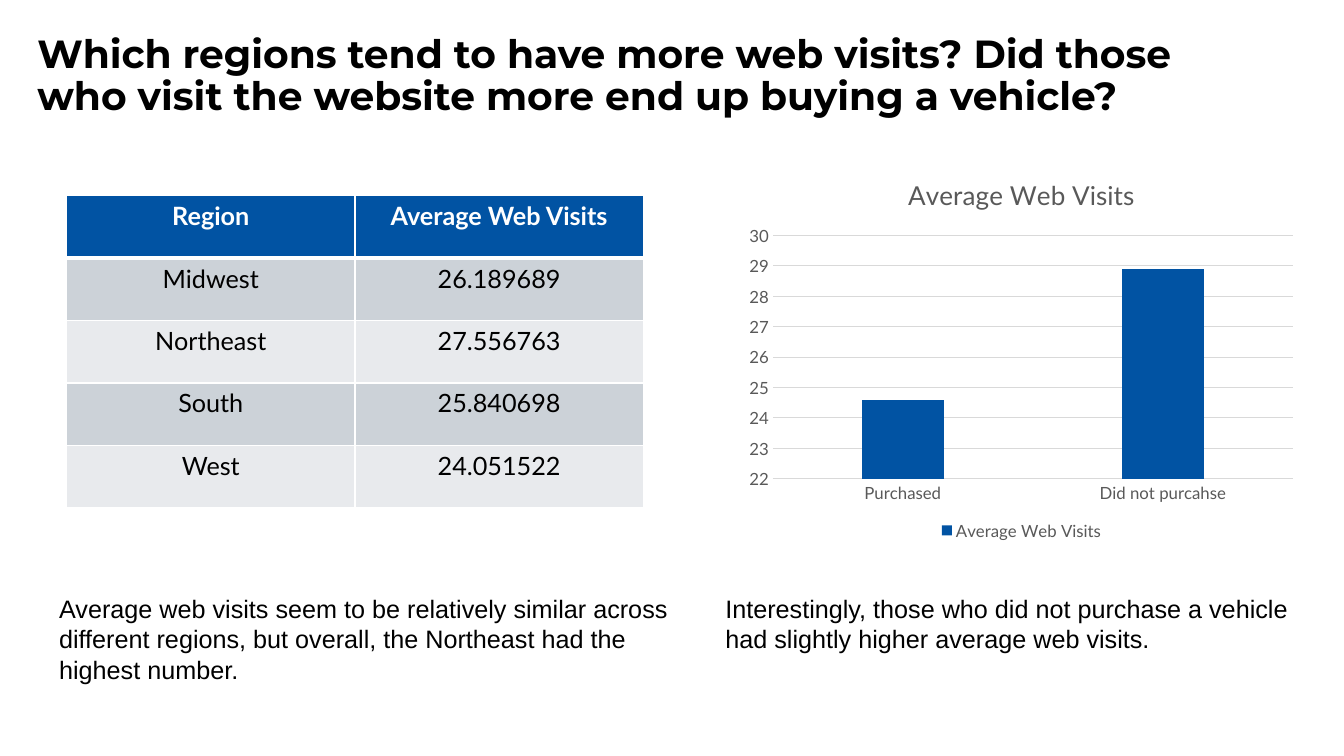
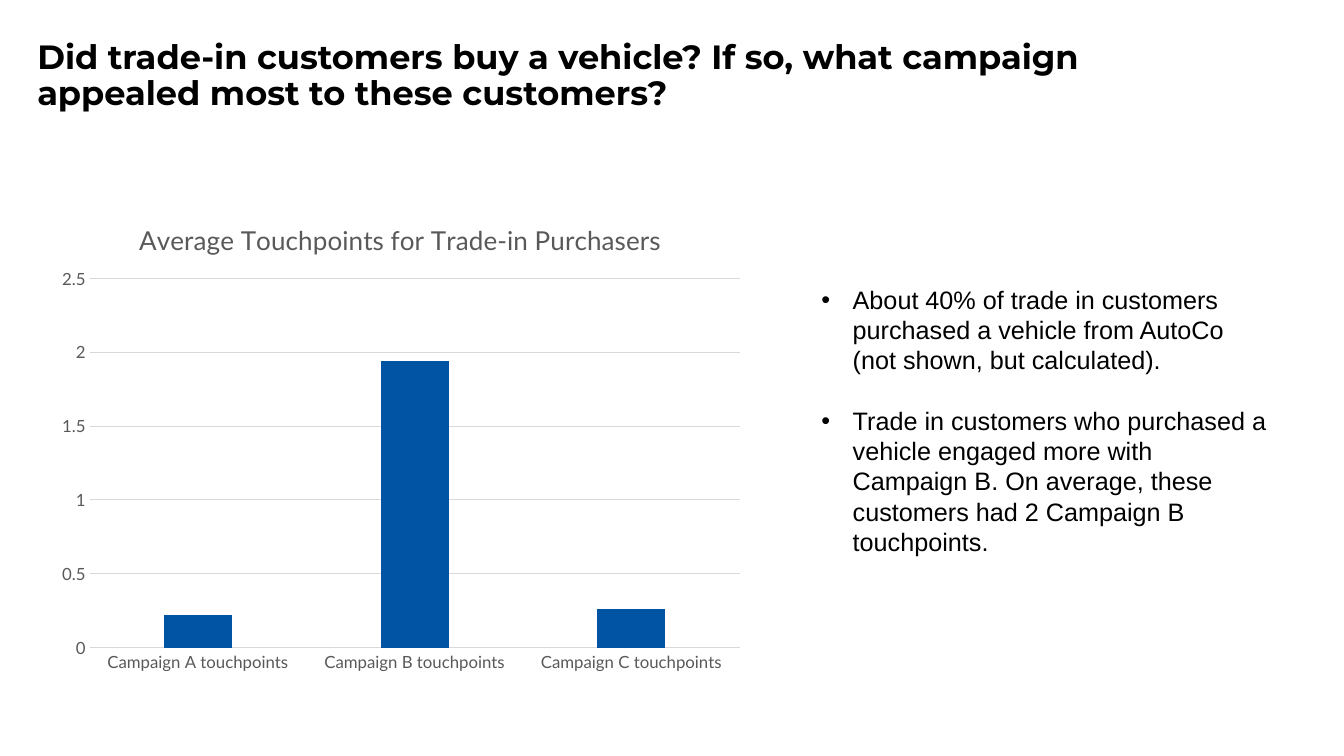
from lxml import etree
from pptx import Presentation
from pptx.chart.data import CategoryChartData
from pptx.dml.color import RGBColor
from pptx.enum import chart as ch, text
from pptx.oxml import parse_xml
from pptx.oxml.ns import nsdecls, qn
from pptx.util import Cm, Pt

BLACK = RGBColor(0x00, 0x00, 0x00)
WHITE = RGBColor(0xFF, 0xFF, 0xFF)
BLUE = RGBColor(0x01, 0x53, 0xA3)
DARK = RGBColor(0xCC, 0xD2, 0xD8)
LIGHT = RGBColor(0xE8, 0xEA, 0xED)
GRAY = RGBColor(0x59, 0x59, 0x59)
RULE = RGBColor(0xD9, 0xD9, 0xD9)

HEAD, BODY, DATA = "Montserrat", "Arial", "Lato"


def style(font, name, size, color=BLACK, bold=False):
    font.name, font.size, font.bold = name, Pt(size), bold
    font.color.rgb = color


def edge(cell, **widths):
    """Draw white cell borders; keys are L, R, T, B in that order."""
    props = cell._tc.get_or_add_tcPr()
    for side, width in widths.items():
        line = etree.SubElement(props, qn(f"a:ln{side}"), w=str(Pt(width)))
        fill = etree.SubElement(line, qn("a:solidFill"))
        etree.SubElement(fill, qn("a:srgbClr"), val=str(WHITE))


def place(chart, x, y, w, h):
    """Fix the inner plot area, in fractions of the chart."""
    area = chart._chartSpace.chart.plotArea
    for old in area.findall(qn("c:layout")):
        area.remove(old)
    parts = "".join(f'<c:{k} val="{v}"/>' for k, v in
                    dict(x=x, y=y, w=w, h=h).items())
    area.insert(0, parse_xml(
        f'<c:layout {nsdecls("c")}><c:manualLayout>'
        '<c:layoutTarget val="inner"/><c:xMode val="edge"/>'
        f'<c:yMode val="edge"/>{parts}</c:manualLayout></c:layout>'))


class Deck:
    def __init__(self):
        self.prs = Presentation()
        self.prs.slide_width, self.prs.slide_height = Cm(33.87), Cm(19.05)
        self.slide = None

    def page(self, title, size):
        self.slide = self.prs.slides.add_slide(self.prs.slide_layouts[6])
        frame = self.frame(0.69, 0.1, 31.04, 3.68)
        frame.vertical_anchor = text.MSO_ANCHOR.MIDDLE
        para = frame.paragraphs[0]
        para.line_spacing = 0.9
        self.run(para, title, HEAD, size, bold=True)

    def frame(self, x, y, w, h):
        box = self.slide.shapes.add_textbox(Cm(x), Cm(y), Cm(w), Cm(h))
        box.text_frame.word_wrap = True
        return box.text_frame

    def run(self, para, words, *look, **more):
        run = para.add_run()
        run.text = words
        style(run.font, *look, **more)

    def note(self, words, *at):
        self.run(self.frame(*at).paragraphs[0], words, BODY, 18)

    def list(self, items, *at):
        frame = self.frame(*at)
        for i, item in enumerate(items):
            para = frame.add_paragraph() if i else frame.paragraphs[0]
            para.space_before = Pt(21.6 if i else 0)
            props = para._p.get_or_add_pPr()
            props.set("marL", str(Cm(0.79)))
            props.set("indent", str(Cm(-0.79)))
            etree.SubElement(props, qn("a:buFont"), typeface=BODY)
            etree.SubElement(props, qn("a:buChar"), char="•")
            self.run(para, item, BODY, 18)

    def table(self, rows, x, y, w, h):
        grid = self.slide.shapes.add_table(
            len(rows), len(rows[0]), Cm(x), Cm(y), Cm(w), Cm(h)).table
        for r, row in enumerate(rows):
            for c, words in enumerate(row):
                cell = grid.cell(r, c)
                edge(cell, L=1, R=1, T=3 if r == 1 else 1,
                     B=3 if r == 0 else 1)
                cell.fill.solid()
                cell.fill.fore_color.rgb = (
                    BLUE if r == 0 else DARK if r % 2 else LIGHT)
                para = cell.text_frame.paragraphs[0]
                para.alignment = text.PP_ALIGN.CENTER
                self.run(para, words, DATA, 18,
                         WHITE if r == 0 else BLACK, bold=r == 0)

    def chart(self, title, name, data, scale, plot, at, legend=False):
        """Column chart; scale is low, high and step of the value axis."""
        feed = CategoryChartData()
        feed.categories = list(data)
        feed.add_series(name, list(data.values()))
        chart = self.slide.shapes.add_chart(
            ch.XL_CHART_TYPE.COLUMN_CLUSTERED,
            *(Cm(n) for n in at), feed).chart
        style(chart.font, DATA, 12, GRAY)
        self.run(chart.chart_title.text_frame.paragraphs[0],
                 title, DATA, 18.6, GRAY)
        chart.has_legend = legend
        if legend:
            chart.legend.position = ch.XL_LEGEND_POSITION.BOTTOM
            chart.legend.include_in_layout = False
            style(chart.legend.font, DATA, 12, GRAY)

        bars = chart.plots[0]
        bars.gap_width, bars.overlap = 219, -27
        bars.vary_by_categories = False
        fill = bars.series[0].format.fill
        fill.solid()
        fill.fore_color.rgb = BLUE

        cats, vals = chart.category_axis, chart.value_axis
        for axis in (cats, vals):
            axis.major_tick_mark = ch.XL_TICK_MARK.NONE
            style(axis.tick_labels.font, DATA, 12, GRAY)
        vals.minimum_scale, vals.maximum_scale, vals.major_unit = scale
        vals.format.line.fill.background()
        for line in (cats.format.line, vals.major_gridlines.format.line):
            line.color.rgb, line.width = RULE, Pt(0.75)
        place(chart, *plot)


def main():
    deck = Deck()

    deck.page("Which regions tend to have more web visits? Did those who "
              "visit the website more end up buying a vehicle?", 28)
    deck.table([("Region", "Average Web Visits"),
                ("Midwest", "26.189689"),
                ("Northeast", "27.556763"),
                ("South", "25.840698"),
                ("West", "24.051522")], 1.68, 4.93, 14.53, 7.87)
    deck.chart("Average Web Visits", "Average Web Visits",
               {"Purchased": 24.6, "Did not purcahse": 28.9},
               (22, 30, 1), (0.06, 0.2, 0.92, 0.63),
               (18.62, 3.99, 14.25, 9.73), legend=True)
    deck.note("Average web visits seem to be relatively similar across "
              "different regions, but overall, the Northeast had the "
              "highest number.", 1.24, 14.83, 16.81, 2.57)
    deck.note("Interestingly, those who did not purchase a vehicle had "
              "slightly higher average web visits.",
              18.03, 14.83, 15.21, 1.8)

    deck.page("Did trade-in customers buy a vehicle? If so, what campaign "
              "appealed most to these customers?", 24)
    deck.chart("Average Touchpoints for Trade-in Purchasers", "Series 1",
               {"Campaign A touchpoints": 0.22,
                "Campaign B touchpoints": 1.94,
                "Campaign C touchpoints": 0.26},
               (0, 2.5, 0.5), (0.06, 0.16, 0.92, 0.77),
               (1.19, 5.08, 17.81, 12.09))
    deck.list(["About 40% of trade in customers purchased a vehicle from "
               "AutoCo (not shown, but calculated).",
               "Trade in customers who purchased a vehicle engaged more "
               "with Campaign B. On average, these customers had 2 "
               "Campaign B touchpoints."], 20.45, 7.04, 11.81, 7.19)

    deck.prs.save("out.pptx")


if __name__ == "__main__":
    main()
